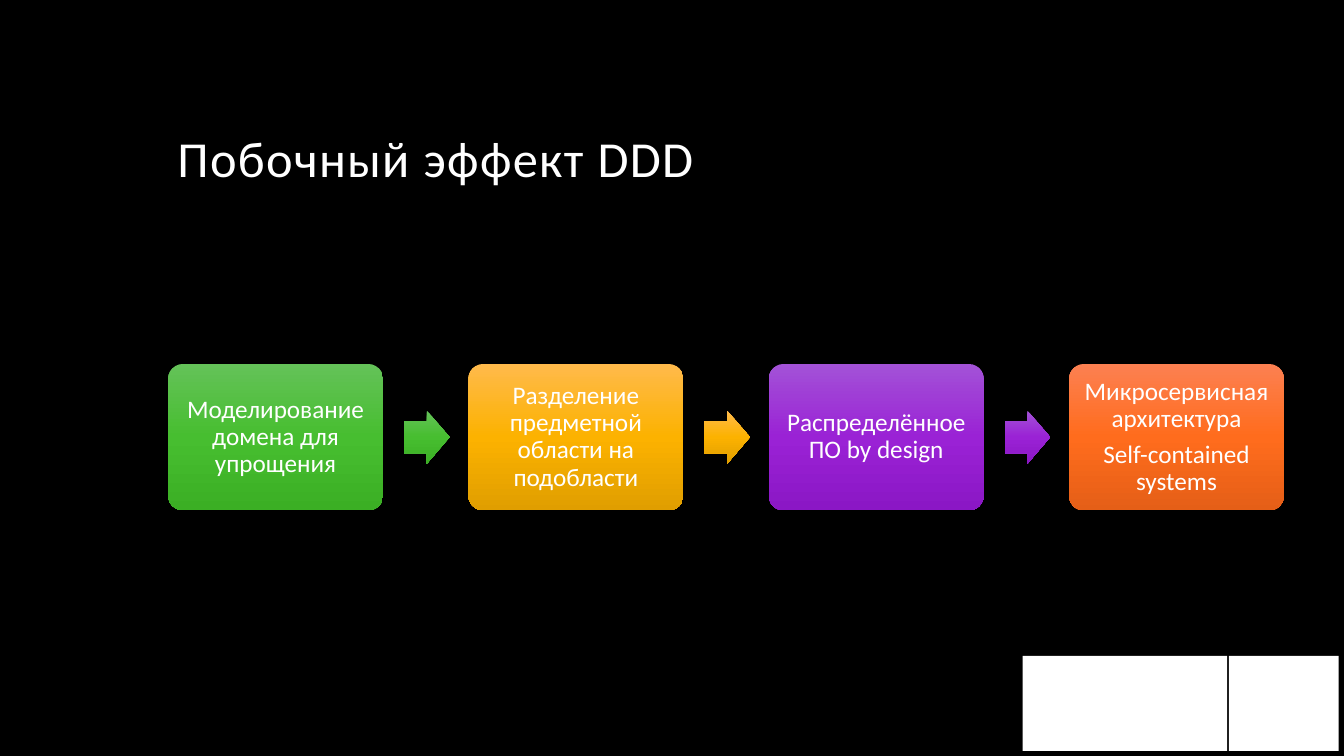
from copy import deepcopy

from pptx import Presentation
from pptx.dml.color import RGBColor
from pptx.enum.shapes import MSO_SHAPE
from pptx.enum.text import MSO_ANCHOR, MSO_AUTO_SIZE, PP_ALIGN
from pptx.util import Pt

RECTANGLE = MSO_SHAPE.RECTANGLE
ROUNDED = MSO_SHAPE.ROUNDED_RECTANGLE
ARROW = MSO_SHAPE.RIGHT_ARROW
MIDDLE, BOTTOM = MSO_ANCHOR.MIDDLE, MSO_ANCHOR.BOTTOM
LEFT, CENTER = PP_ALIGN.LEFT, PP_ALIGN.CENTER

BLACK = RGBColor(0x00, 0x00, 0x00)
WHITE = RGBColor(0xFF, 0xFF, 0xFF)
GREEN = (RGBColor(0x64, 0xC2, 0x58), RGBColor(0x47, 0xBE, 0x30), RGBColor(0x3B, 0xAF, 0x24))
AMBER = (RGBColor(0xFF, 0xBA, 0x4B), RGBColor(0xFC, 0xB2, 0x00), RGBColor(0xE0, 0x9E, 0x00))
PURPLE = (RGBColor(0xA3, 0x52, 0xD7), RGBColor(0x9A, 0x22, 0xD5), RGBColor(0x8B, 0x17, 0xC5))
ORANGE = (RGBColor(0xFC, 0x80, 0x51), RGBColor(0xFF, 0x6C, 0x1D), RGBColor(0xE5, 0x5F, 0x17))

TITLE = "Побочный эффект DDD"
STEPS = [
    (["Моделирование домена для упрощения"], GREEN),
    (["Разделение предметной области на подобласти"], AMBER),
    (["Распределённое ПО by design"], PURPLE),
    (["Микросервисная архитектура", "Self-contained systems"], ORANGE),
]
CORNER_PANELS = [(877.7, 78.5), (730.4, 146.2)]  # left, width
PANEL_TOP, PANEL_HEIGHT = 468.6, 67.8

FIRST_LEFT, STEP_TOP = 120.2, 260
STEP_WIDTH, STEP_HEIGHT, STEP_PITCH = 153.4, 104.5, 214.5
ARROW_OFFSET, ARROW_WIDTH, ARROW_HEIGHT = 168.4, 32.5, 38

FONT = {"name": "Calibri", "bold": False}
STEP_FRAME = {
    "word_wrap": True, "vertical_anchor": MIDDLE,
    "margin_left": Pt(5), "margin_right": Pt(5),
    "margin_top": Pt(5), "margin_bottom": Pt(5),
}
TITLE_FRAME = {"word_wrap": True, "vertical_anchor": BOTTOM, "auto_size": MSO_AUTO_SIZE.NONE}
STEP_PARAGRAPH = {"alignment": CENTER, "line_spacing": 0.9, "space_after": Pt(6.3)}
TITLE_PARAGRAPH = {"alignment": LEFT, "line_spacing": 0.9}


def set_all(target, values):
    for attribute, value in values.items():
        setattr(target, attribute, value)


def write(frame, lines, frame_format, paragraph_format, size):
    set_all(frame, frame_format)
    frame.text = "\n".join(lines)
    for paragraph in frame.paragraphs:
        set_all(paragraph, paragraph_format)
        font = paragraph.runs[0].font
        set_all(font, {**FONT, "size": Pt(size)})
        font.color.rgb = WHITE


def add_plain_shape(slide, kind, *box):
    shape = slide.shapes.add_shape(kind, *map(Pt, box))
    shape.shadow.inherit = False
    shape.line.fill.background()
    return shape


def shade(shape, colours):
    """Fill with evenly spaced colours from top to bottom."""
    fill = shape.fill
    fill.gradient()
    fill.gradient_angle = 270
    first_stop = shape._element.spPr.find(".//{*}gs")
    first_stop.addnext(deepcopy(first_stop))
    for i, (stop, colour) in enumerate(zip(fill.gradient_stops, colours)):
        stop.position = i / (len(colours) - 1)
        stop.color.rgb = colour


def main():
    deck = Presentation()
    deck.slide_width, deck.slide_height = Pt(960), Pt(540)
    slide = deck.slides.add_slide(deck.slide_layouts[5])
    slide.background.fill.solid()
    slide.background.fill.fore_color.rgb = BLACK

    title = slide.shapes.title
    set_all(title, {"left": Pt(119.5), "top": Pt(30), "width": Pt(720), "height": Pt(108)})
    write(title.text_frame, [TITLE], TITLE_FRAME, TITLE_PARAGRAPH, 36)
    title.text_frame.paragraphs[0].runs[0].font._element.set("spc", "100")

    for left, width in CORNER_PANELS:
        panel = add_plain_shape(slide, RECTANGLE, left, PANEL_TOP, width, PANEL_HEIGHT)
        panel.fill.solid()
        panel.fill.fore_color.rgb = WHITE

    arrow_top = STEP_TOP + (STEP_HEIGHT - ARROW_HEIGHT) / 2
    for i, (lines, colours) in enumerate(STEPS):
        left = FIRST_LEFT + i * STEP_PITCH
        step = add_plain_shape(slide, ROUNDED, left, STEP_TOP, STEP_WIDTH, STEP_HEIGHT)
        step.adjustments[0] = 0.1
        shade(step, colours)
        write(step.text_frame, lines, STEP_FRAME, STEP_PARAGRAPH, 18)
        if i < len(STEPS) - 1:
            arrow = add_plain_shape(slide, ARROW, left + ARROW_OFFSET, arrow_top,
                                    ARROW_WIDTH, ARROW_HEIGHT)
            arrow.adjustments[0] = 0.6
            shade(arrow, colours)

    deck.save("out.pptx")


if __name__ == "__main__":
    main()
